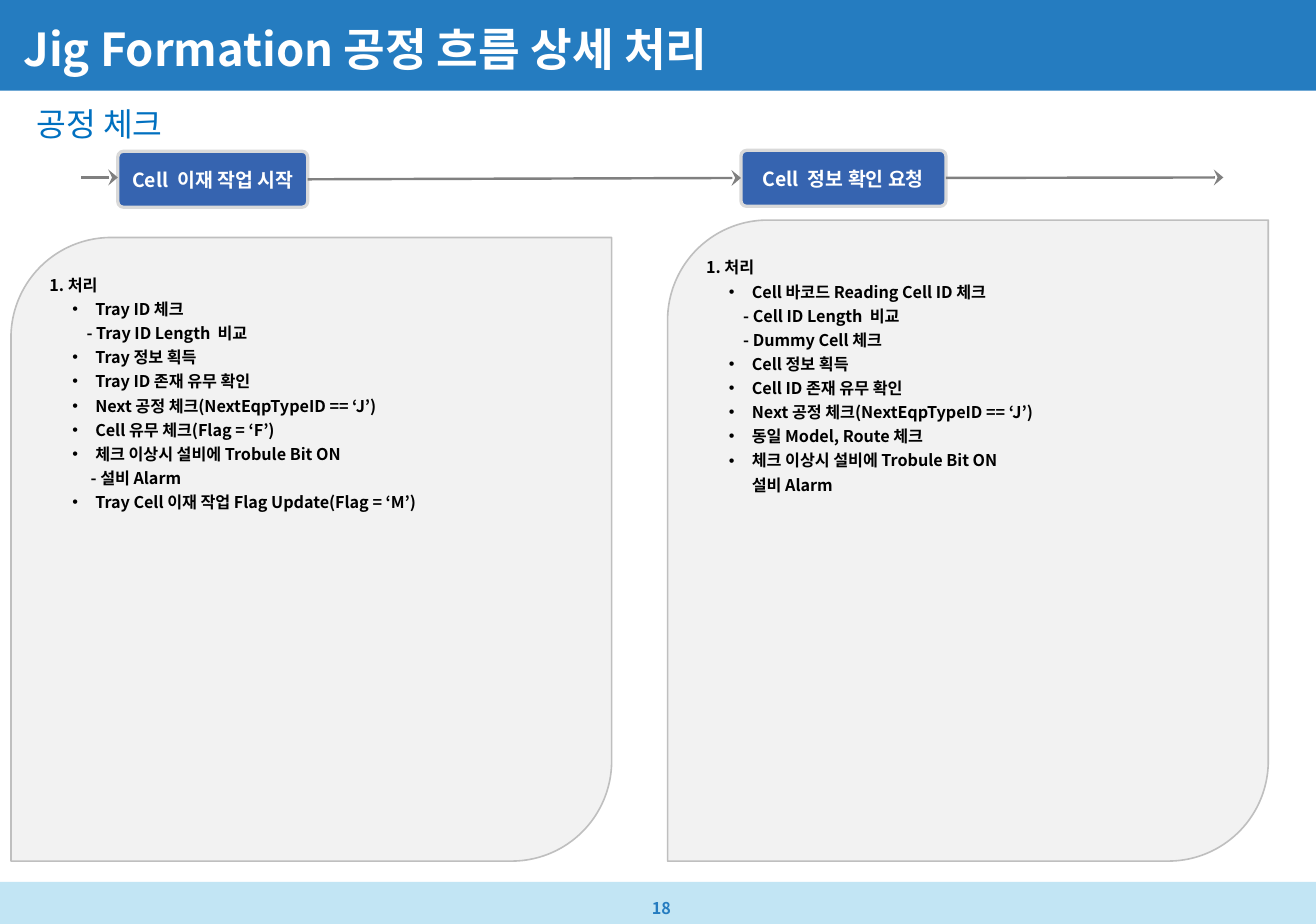
from dataclasses import dataclass

from lxml import etree
from pptx import Presentation
from pptx.dml.color import RGBColor
from pptx.enum.shapes import MSO_CONNECTOR, MSO_SHAPE
from pptx.enum.text import MSO_ANCHOR, PP_ALIGN
from pptx.oxml.ns import qn
from pptx.util import Cm, Pt

FONT = "Noto Sans CJK KR"
WHITE = RGBColor(0xFF, 0xFF, 0xFF)
BLACK = RGBColor(0, 0, 0)
BLUE = RGBColor(0x25, 0x7C, 0xC0)
PALE_BLUE = RGBColor(0xC2, 0xE5, 0xF4)
SUBTITLE_BLUE = RGBColor(0x00, 0x70, 0xC0)
STEP_BLUE = RGBColor(0x36, 0x64, 0xB0)
STEP_EDGE = RGBColor(0xD9, 0xD9, 0xD9)
PANEL_FILL = RGBColor(0xF2, 0xF2, 0xF2)
PANEL_EDGE = RGBColor(0xBF, 0xBF, 0xBF)
ARROW_GRAY = RGBColor(0x80, 0x80, 0x80)

RECT = MSO_SHAPE.RECTANGLE
ROUNDED = MSO_SHAPE.ROUNDED_RECTANGLE
DIAGONAL = MSO_SHAPE.ROUND_2_DIAG_RECTANGLE
STRAIGHT = MSO_CONNECTOR.STRAIGHT
TOP, MIDDLE, BOTTOM = MSO_ANCHOR.TOP, MSO_ANCHOR.MIDDLE, MSO_ANCHOR.BOTTOM
LEFT, CENTER = PP_ALIGN.LEFT, PP_ALIGN.CENTER

SLIDE_WIDTH, SLIDE_HEIGHT = 28.7, 20.15
PANEL_BOTTOM = 18.78


@dataclass
class Box:
    left: float
    top: float
    width: float
    height: float

    def lengths(self) -> tuple:
        return Cm(self.left), Cm(self.top), Cm(self.width), Cm(self.height)


@dataclass
class Item:
    text: str
    indent: float = 1.0
    bullet: bool = True


@dataclass
class Step:
    label: str
    box: Box


@dataclass
class Panel:
    left: float
    top: float
    items: list[Item]


@dataclass
class Arrow:
    x1: float
    y1: float
    x2: float
    y2: float


STEPS = [
    Step("Cell  이재 작업 시작", Box(2.57, 3.3, 4.14, 1.22)),
    Step("Cell  정보 확인 요청", Box(16.16, 3.28, 4.47, 1.22)),
]
ARROWS = [
    Arrow(1.77, 3.87, 2.57, 3.87),
    Arrow(6.71, 3.91, 16.16, 3.88),
    Arrow(20.63, 3.88, 26.68, 3.87),
]
PANELS = [
    Panel(0.24, 5.18, [
        Item("1. 처리", 0, False),
        Item("Tray ID 체크"),
        Item("- Tray ID Length  비교", 0.81, False),
        Item("Tray 정보 획득"),
        Item("Tray ID 존재 유무 확인"),
        Item("Next 공정 체크(NextEqpTypeID == ‘J’)"),
        Item("Cell 유무 체크(Flag = ‘F’)"),
        Item("체크 이상시 설비에 Trobule Bit ON"),
        Item("- 설비 Alarm", 0.9, False),
        Item("Tray Cell 이재 작업 Flag Update(Flag = ‘M’)"),
    ]),
    Panel(14.56, 4.8, [
        Item("1. 처리", 0, False),
        Item("Cell 바코드 Reading Cell ID 체크"),
        Item("- Cell ID Length  비교", 0.81, False),
        Item("- Dummy Cell 체크", 0.81, False),
        Item("Cell 정보 획득"),
        Item("Cell ID 존재 유무 확인"),
        Item("Next 공정 체크(NextEqpTypeID == ‘J’)"),
        Item("동일 Model, Route 체크"),
        Item("체크 이상시 설비에 Trobule Bit ON"),
        Item("설비 Alarm", 1.0, False),
    ]),
]


def set_frame(tf, anchor, insets: tuple) -> None:
    tf.word_wrap = True
    tf.vertical_anchor = anchor
    tf.margin_left, tf.margin_top, tf.margin_right, tf.margin_bottom = map(Cm, insets)


def format_paragraph(p, size: float, color: RGBColor, bold: bool = True,
                     align=LEFT, spacing: float = 1.0, before: float = 0) -> None:
    p.alignment = align
    p.line_spacing = spacing
    p.space_before = Pt(before)
    for r in p.runs:
        r.font.size, r.font.bold, r.font.name = Pt(size), bold, FONT
        r.font.color.rgb = color
        r.font._element.set("kern", "0")
        etree.SubElement(r.font._element, qn("a:ea"), typeface=FONT)


def set_indent(p, indent: float, bullet: bool) -> None:
    pPr = p._p.get_or_add_pPr()
    pPr.set("marL", str(Cm(indent)))
    pPr.set("indent", str(Cm(-0.5) if bullet else 0))
    if bullet:
        etree.SubElement(pPr, qn("a:buFont"), typeface="Arial")
        etree.SubElement(pPr, qn("a:buChar"), char="•")
    else:
        etree.SubElement(pPr, qn("a:buNone"))


def add_filled(slide, kind, box: Box, fill: RGBColor, edge: RGBColor | None = None,
               weight: float = 1):
    sp = slide.shapes.add_shape(kind, *box.lengths())
    sp.shadow.inherit = False
    sp.fill.solid()
    sp.fill.fore_color.rgb = fill
    if edge is None:
        sp.line.fill.background()
    else:
        sp.line.color.rgb = edge
        sp.line.width = Pt(weight)
    return sp


def add_band(slide, top: float, height: float, fill: RGBColor) -> None:
    """Draw a full-width band behind the placeholders."""
    sp = add_filled(slide, RECT, Box(0, top, SLIDE_WIDTH, height), fill)
    slide.shapes._spTree.insert(2, sp._element)


def fill_placeholder(sp, text: str, box: Box, anchor, insets: tuple,
                     size: float, color: RGBColor, bold: bool) -> None:
    sp.left, sp.top, sp.width, sp.height = box.lengths()
    tf = sp.text_frame
    tf.text = text
    set_frame(tf, anchor, insets)
    set_indent(tf.paragraphs[0], 0, False)
    format_paragraph(tf.paragraphs[0], size, color, bold, spacing=0.9)


def add_page_number(slide, number: str) -> None:
    tf = slide.shapes.add_textbox(*Box(13, 19.43, 2.95, 0.71).lengths()).text_frame
    tf.text = number
    set_frame(tf, MIDDLE, (1.22, 0.2, 0, 0.2))
    format_paragraph(tf.paragraphs[0], 10, BLUE, spacing=1.1)


def add_panel(slide, panel: Panel) -> None:
    box = Box(panel.left, panel.top, 13.1, PANEL_BOTTOM - panel.top)
    tf = add_filled(slide, DIAGONAL, box, PANEL_FILL, PANEL_EDGE).text_frame
    set_frame(tf, TOP, (0.2, 0.1, 0.1, 0.1))
    tf.text = "\n".join(item.text for item in panel.items)
    for i, (p, item) in enumerate(zip(tf.paragraphs, panel.items)):
        set_indent(p, item.indent, item.bullet)
        format_paragraph(p, 10, BLACK, spacing=1.2, before=0.5 if i else 0)


def add_step(slide, step: Step) -> None:
    sp = add_filled(slide, ROUNDED, step.box, STEP_BLUE, STEP_EDGE, 2)
    sp.adjustments[0] = 0.1
    sp.text_frame.text = step.label
    set_frame(sp.text_frame, MIDDLE, (0.2, 0.1, 0.2, 0.1))
    format_paragraph(sp.text_frame.paragraphs[0], 12, WHITE, align=CENTER)


def add_arrow(slide, arrow: Arrow) -> None:
    line = slide.shapes.add_connector(
        STRAIGHT, Cm(arrow.x1), Cm(arrow.y1), Cm(arrow.x2), Cm(arrow.y2))
    line.line.color.rgb = ARROW_GRAY
    line.line.width = Pt(1.5)
    etree.SubElement(line.line._get_or_add_ln(), qn("a:tailEnd"), type="stealth", w="lg")
    etree.SubElement(line._element.spPr, qn("a:effectLst"))


def main() -> None:
    prs = Presentation()
    prs.slide_width, prs.slide_height = Cm(SLIDE_WIDTH), Cm(SLIDE_HEIGHT)
    slide = prs.slides.add_slide(prs.slide_layouts[1])
    title, body = slide.placeholders
    add_band(slide, 0, 1.98, BLUE)
    add_band(slide, 19.23, SLIDE_HEIGHT - 19.23, PALE_BLUE)
    add_page_number(slide, "18")
    fill_placeholder(title, "Jig Formation 공정 흐름 상세 처리", Box(0.26, 0.58, 24.74, 1.09),
                     BOTTOM, (0.25, 0.13, 0.25, 0), 28, WHITE, True)
    fill_placeholder(body, "공정 체크", Box(0.54, 2.13, 27.61, 1.22),
                     MIDDLE, (0.25, 0.13, 0.25, 0.13), 20, SUBTITLE_BLUE, False)
    for panel in PANELS:
        add_panel(slide, panel)
    for step in STEPS:
        add_step(slide, step)
    for arrow in ARROWS:
        add_arrow(slide, arrow)
    prs.save("out.pptx")


if __name__ == "__main__":
    main()
